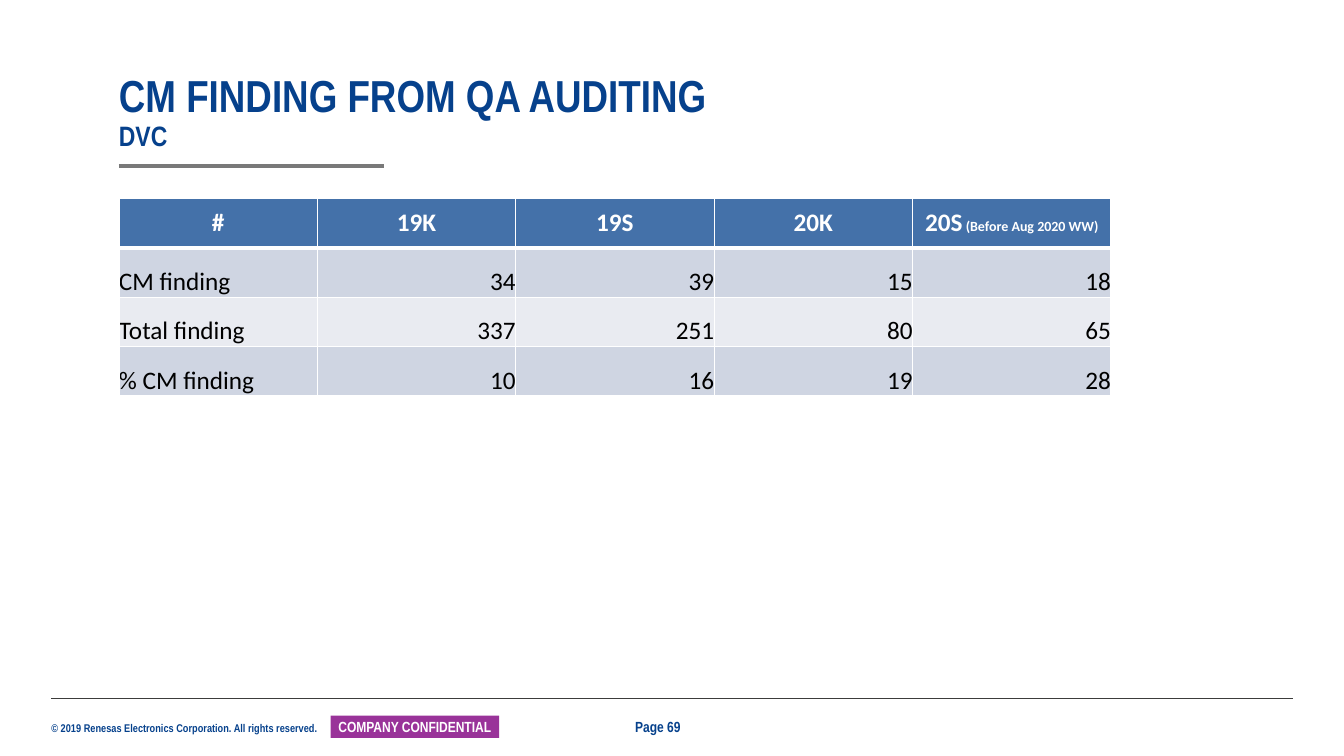
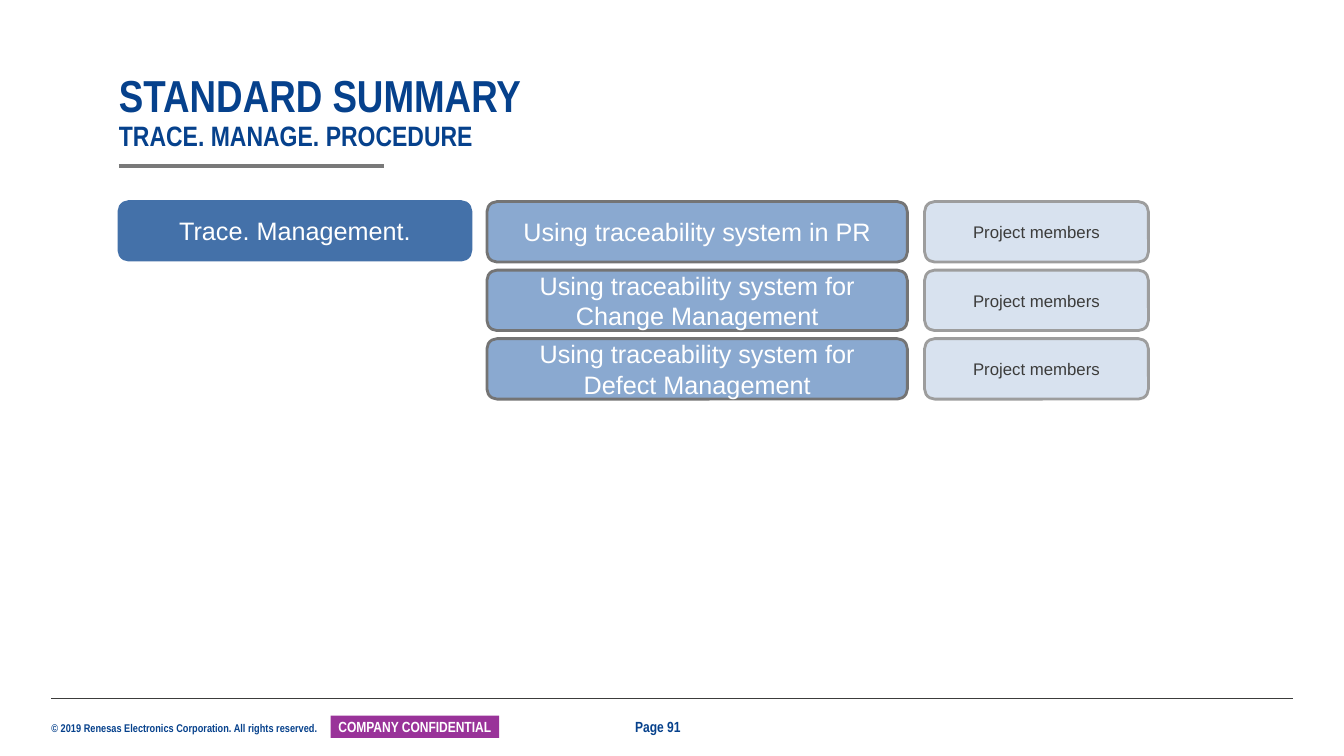
"""Build two slides on configuration-management findings and traceability."""
from dataclasses import dataclass

from lxml import etree
from pptx import Presentation
from pptx.dml.color import RGBColor
from pptx.enum.shapes import MSO_CONNECTOR, MSO_SHAPE
from pptx.enum.text import MSO_ANCHOR, PP_ALIGN
from pptx.oxml.ns import qn
from pptx.util import Inches, Pt

STRAIGHT = MSO_CONNECTOR.STRAIGHT
RECTANGLE, ROUNDED = MSO_SHAPE.RECTANGLE, MSO_SHAPE.ROUNDED_RECTANGLE
TOP, MIDDLE, BOTTOM = MSO_ANCHOR.TOP, MSO_ANCHOR.MIDDLE, MSO_ANCHOR.BOTTOM
LEFT, CENTER, RIGHT = PP_ALIGN.LEFT, PP_ALIGN.CENTER, PP_ALIGN.RIGHT

COLORS = {
    "navy": "06418C", "blue": "4471A9", "sky": "8AA9D0", "pale": "D8E2EF",
    "band_dark": "CFD5E2", "band_light": "E9EBF1", "purple": "993399",
    "ink": "3C3C3B", "rule": "797979", "edge": "747474", "edge_light": "9D9D9D",
    "white": "FFFFFF", "black": "000000",
}
HEADING_FONT, BODY_FONT, TABLE_FONT = "Arial Narrow", "Arial", "Calibri"
CONTENT_LEFT, CONTENT_WIDTH = 1.18, 9.84
TABLE_TOP, ROW_HEIGHT = 1.97, 0.49
BOX_TOP, BOX_STEP, BOX_HEIGHT = 2.0, 0.68, 0.6

FINDINGS = [
    ["#", "19K", "19S", "20K", "20S"],
    ["CM finding", "34", "39", "15", "18"],
    ["Total finding", "337", "251", "80", "65"],
    ["% CM finding", "10", "16", "19", "28"],
]
HEADER_NOTE = " (Before Aug 2020 WW)"


@dataclass(frozen=True)
class BoxColumn:
    """A column of equally spaced rounded boxes that share one style."""
    left: float
    width: float
    fill: str
    edge: str
    color: str
    size: float
    labels: list[str]
    height: float = BOX_HEIGHT


PROCEDURE = [
    BoxColumn(1.18, 3.49, "blue", "blue", "white", 18, ["Trace. Management."], 0.58),
    BoxColumn(4.83, 4.17, "sky", "edge", "white", 18, [
        "Using traceability system in PR",
        "Using traceability system for Change Management",
        "Using traceability system for Defect Management",
    ]),
    BoxColumn(9.17, 2.22, "pale", "edge_light", "ink", 12, ["Project members"] * 3),
]


def rgb(name: str) -> RGBColor:
    """Return the palette colour with this name."""
    return RGBColor.from_string(COLORS[name])


def add_span(para, text: str, *, size: float, font: str, color: str, bold: bool = False) -> None:
    """Append formatted text to a paragraph."""
    span = para.add_run()
    span.text = text
    span.font.size = Pt(size)
    span.font.name = font
    span.font.bold = bold
    span.font.color.rgb = rgb(color)


def write(frame, text: str, *, align=LEFT, anchor=TOP, side: float = 0,
          wrap: bool = True, **style):
    """Fill a text frame without vertical insets and return its paragraph."""
    frame.word_wrap = wrap
    frame.vertical_anchor = anchor
    frame.margin_left = frame.margin_right = Inches(side)
    frame.margin_top = frame.margin_bottom = 0
    para = frame.paragraphs[0]
    para.alignment = align
    add_span(para, text, **style)
    return para


def add_text(page, text: str, left: float, top: float, width: float, height: float, **style):
    """Add a text box and return its paragraph."""
    box = page.shapes.add_textbox(Inches(left), Inches(top), Inches(width), Inches(height))
    return write(box.text_frame, text, **style)


def add_box(page, kind, left: float, top: float, width: float, height: float, *,
            fill: str, edge: str | None = None):
    """Add a flat filled shape with an optional outline."""
    box = page.shapes.add_shape(kind, Inches(left), Inches(top), Inches(width), Inches(height))
    box.shadow.inherit = False
    box.fill.solid()
    box.fill.fore_color.rgb = rgb(fill)
    if edge:
        box.line.color.rgb = rgb(edge)
        box.line.width = Pt(2)
    else:
        box.line.fill.background()
    return box


def add_rule(page, left: float, right: float, top: float, *, color: str, weight: float) -> None:
    """Add a horizontal line without a shadow."""
    rule = page.shapes.add_connector(
        STRAIGHT, Inches(left), Inches(top), Inches(right), Inches(top))
    rule.line.color.rgb = rgb(color)
    rule.line.width = Pt(weight)
    etree.SubElement(rule._element.spPr, qn("a:effectLst"))


def add_page(deck, title: str, subtitle: str, number: int):
    """Add a slide with the shared title and footer."""
    page = deck.slides.add_slide(deck.slide_layouts[6])
    heading = {"font": HEADING_FONT, "color": "navy", "bold": True}
    add_text(page, "© 2019 Renesas Electronics Corporation. All rights reserved.",
             0.51, 7.16, 2.75, 0.13, wrap=False, size=8, **heading)
    add_rule(page, 0.51, 12.82, 6.93, color="ink", weight=0.5)
    stamp = add_box(page, RECTANGLE, 3.28, 7.1, 1.67, 0.22, fill="purple")
    write(stamp.text_frame, "COMPANY CONFIDENTIAL", align=CENTER, anchor=MIDDLE, side=0.04,
          wrap=False, size=10.5, font=HEADING_FONT, color="white", bold=True)
    add_rule(page, CONTENT_LEFT, 3.81, 1.65, color="rule", weight=3)
    para = add_text(page, title, CONTENT_LEFT, 0.72, CONTENT_WIDTH, 0.79,
                    anchor=BOTTOM, size=32, **heading)
    para.line_spacing = 0.9
    para.add_line_break()
    add_span(para, subtitle, size=20, **heading)
    add_text(page, f"Page {number}", 6.3, 7.12, 0.73, 0.18, anchor=MIDDLE, size=10.5, **heading)
    return page


def set_borders(cell, top: float, bottom: float) -> None:
    """Give a cell white borders with these top and bottom weights."""
    properties = cell._tc.get_or_add_tcPr()
    for side, weight in {"L": 1, "R": 1, "T": top, "B": bottom}.items():
        line = etree.SubElement(properties, qn(f"a:ln{side}"), w=str(Pt(weight)))
        fill = etree.SubElement(line, qn("a:solidFill"))
        etree.SubElement(fill, qn("a:srgbClr"), val=COLORS["white"])


def write_cell(cell, text: str, *, align, anchor, fill: str, **style):
    """Fill and label a table cell and return its paragraph."""
    cell.margin_left = cell.margin_right = cell.margin_top = cell.margin_bottom = 0
    cell.vertical_anchor = anchor
    cell.fill.solid()
    cell.fill.fore_color.rgb = rgb(fill)
    para = cell.text_frame.paragraphs[0]
    para.alignment = align
    add_span(para, text, font=TABLE_FONT, size=18, **style)
    return para


def add_findings(page) -> None:
    """Add the table of audit findings."""
    row_count, column_count = len(FINDINGS), len(FINDINGS[0])
    table = page.shapes.add_table(
        row_count, column_count, Inches(CONTENT_LEFT), Inches(TABLE_TOP),
        Inches(CONTENT_WIDTH), Inches(ROW_HEIGHT * row_count)).table
    for column in table.columns:
        column.width = Inches(CONTENT_WIDTH / column_count)
    for row, values in enumerate(FINDINGS):
        table.rows[row].height = Inches(ROW_HEIGHT)
        for column, text in enumerate(values):
            cell = table.cell(row, column)
            set_borders(cell, top=3 if row == 1 else 1, bottom=3 if row == 0 else 1)
            if row == 0:
                para = write_cell(cell, text, align=CENTER, anchor=MIDDLE, fill="blue",
                                  color="white", bold=True)
            else:
                write_cell(cell, text, align=RIGHT if column else LEFT, anchor=BOTTOM,
                           fill="band_dark" if row % 2 else "band_light", color="black")
        if row == 0:
            add_span(para, HEADER_NOTE, size=10, font=TABLE_FONT, color="white", bold=True)


def add_procedure(page) -> None:
    """Add the columns of procedure boxes."""
    for column in PROCEDURE:
        for row, label in enumerate(column.labels):
            box = add_box(page, ROUNDED, column.left, BOX_TOP + row * BOX_STEP,
                          column.width, column.height, fill=column.fill, edge=column.edge)
            write(box.text_frame, label, align=CENTER, anchor=MIDDLE, side=0.1,
                  size=column.size, font=BODY_FONT, color=column.color)


def main() -> None:
    """Build and save the deck."""
    deck = Presentation()
    deck.slide_width, deck.slide_height = Inches(13.33), Inches(7.5)
    add_findings(add_page(deck, "CM FINDING FROM QA AUDITING", "DVC", 69))
    add_procedure(add_page(deck, "STANDARD SUMMARY", "TRACE. MANAGE. PROCEDURE", 91))
    deck.save("out.pptx")


if __name__ == "__main__":
    main()
